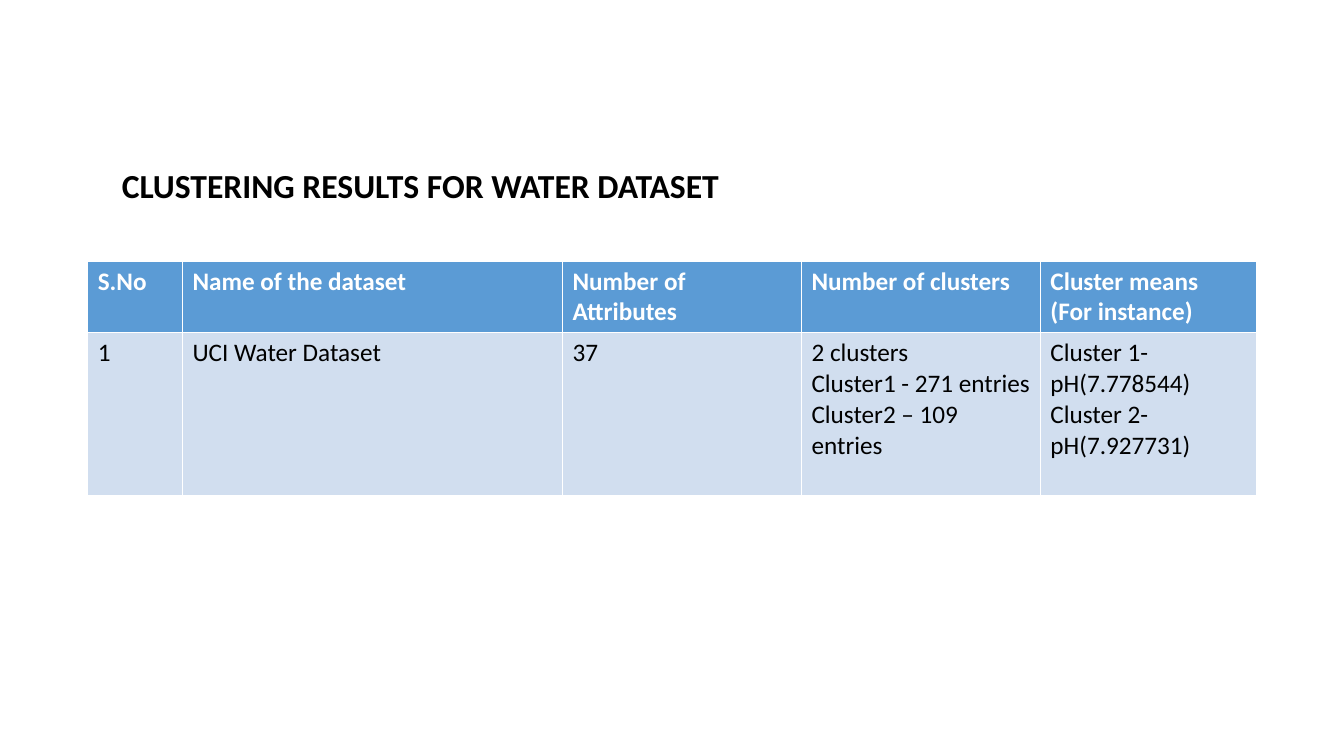
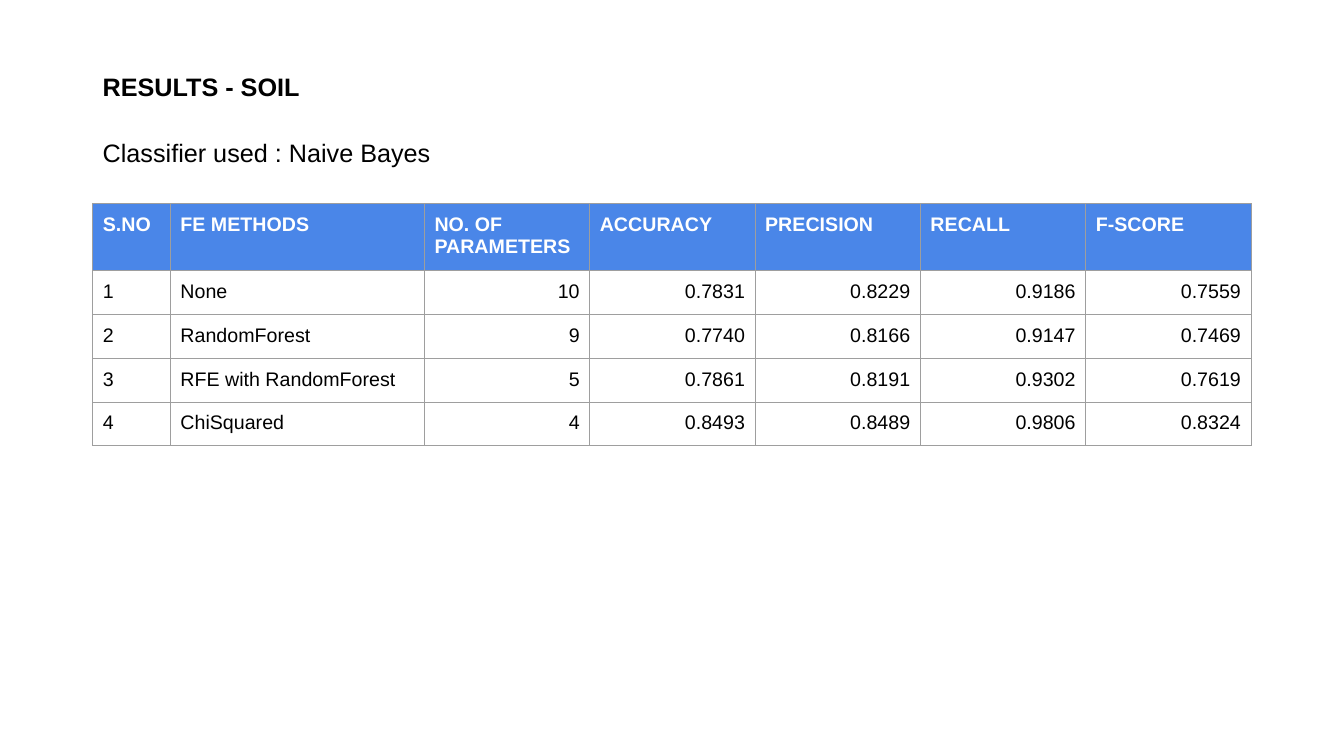
from dataclasses import dataclass

from lxml.etree import SubElement
from pptx import Presentation
from pptx.dml.color import RGBColor
from pptx.enum.text import MSO_ANCHOR as Anchor, PP_ALIGN as Align
from pptx.oxml.ns import qn
from pptx.util import Inches, Pt

COLORS = {
    "text": "000000",
    "header_text": "FFFFFF",
    "water_header": "5B9BD5",
    "water_body": "D1DEEF",
    "water_border": "FFFFFF",
    "soil_header": "4A86E8",
    "soil_border": "9E9E9E",
}
INSET = 0.1


@dataclass
class TableStyle:
    font: str
    size: int
    header: str
    body: str | None
    border: str
    border_width: float
    vertical_inset: float


WATER_STYLE = TableStyle("Calibri", 18, "water_header", "water_body", "water_border", 0.96, 0.05)
SOIL_STYLE = TableStyle("Arial", 14, "soil_header", None, "soil_border", 0.75, 0.1)

WATER_ROWS = [
    ["S.No", "Name of the dataset", "Number of Attributes", "Number of clusters",
     "Cluster means\n(For instance)"],
    ["1", "UCI Water Dataset", "37",
     "2 clusters\nCluster1 - 271 entries\nCluster2 – 109 entries",
     "Cluster 1-pH(7.778544)\nCluster 2-pH(7.927731)"],
]
SOIL_ROWS = [
    ["S.NO", "FE METHODS", "NO. OF PARAMETERS", "ACCURACY", "PRECISION", "RECALL", "F-SCORE"],
    ["1", "None", "10", "0.7831", "0.8229", "0.9186", "0.7559"],
    ["2", "RandomForest", "9", "0.7740", "0.8166", "0.9147", "0.7469"],
    ["3", "RFE with RandomForest", "5", "0.7861", "0.8191", "0.9302", "0.7619"],
    ["4", "ChiSquared", "4", "0.8493", "0.8489", "0.9806", "0.8324"],
]


def color(name):
    return RGBColor.from_string(COLORS[name])


def format_text(text_frame, font, size, color_name, bold, align):
    for paragraph in text_frame.paragraphs:
        paragraph.alignment = align
        for run in paragraph.runs:
            run.font.name = font
            run.font.size = Pt(size)
            run.font.bold = bold
            run.font.color.rgb = color(color_name)


def add_text(slide, box, text, font, size, bold=False, align=Align.LEFT, anchor=Anchor.TOP):
    shape = slide.shapes.add_textbox(*map(Inches, box))
    text_frame = shape.text_frame
    text_frame.word_wrap = True
    text_frame.vertical_anchor = anchor
    text_frame.margin_left = text_frame.margin_right = Inches(INSET)
    text_frame.margin_top = text_frame.margin_bottom = Inches(INSET)
    text_frame.text = text
    format_text(text_frame, font, size, "text", bold, align)


def add_borders(cell, color_name, width):
    properties = cell._tc.get_or_add_tcPr()
    for side in ("lnL", "lnR", "lnT", "lnB"):
        line = SubElement(properties, qn(f"a:{side}"), w=str(Pt(width)))
        fill = SubElement(line, qn("a:solidFill"))
        SubElement(fill, qn("a:srgbClr"), val=COLORS[color_name])


def style_cell(cell, text, style, is_header, align):
    cell.margin_left = cell.margin_right = Inches(INSET)
    cell.margin_top = cell.margin_bottom = Inches(style.vertical_inset)
    add_borders(cell, style.border, style.border_width)
    fill_name = style.header if is_header else style.body
    if fill_name:
        cell.fill.solid()
        cell.fill.fore_color.rgb = color(fill_name)
    else:
        cell.fill.background()
    cell.text_frame.text = text
    text_color = "header_text" if is_header else "text"
    format_text(cell.text_frame, style.font, style.size, text_color, is_header, align)


def add_data_table(slide, left, top, widths, heights, rows, style, first_number_column=None):
    box = map(Inches, (left, top, sum(widths), sum(heights)))
    table = slide.shapes.add_table(len(rows), len(widths), *box).table
    for column, width in zip(table.columns, widths):
        column.width = Inches(width)
    for row, height in zip(table.rows, heights):
        row.height = Inches(height)
    for row_index, texts in enumerate(rows):
        is_header = row_index == 0
        for column_index, text in enumerate(texts):
            is_number = first_number_column is not None and column_index >= first_number_column
            align = Align.RIGHT if is_number and not is_header else Align.LEFT
            style_cell(table.cell(row_index, column_index), text, style, is_header, align)


def build_water_slide(slide, left=0.87, top=1.35):
    add_data_table(slide, left, top + 1.24, [0.94, 3.77, 2.37, 2.37, 2.14], [0.71, 1.62],
                   WATER_ROWS, WATER_STYLE)
    add_text(slide, (left, top, 6.6, 0.97), "CLUSTERING RESULTS FOR WATER DATASET",
             "Calibri", 24, bold=True, align=Align.CENTER, anchor=Anchor.MIDDLE)


def build_soil_slide(slide, left=0.92, top=0.61):
    add_data_table(slide, left, top + 1.41, [0.77, 2.52] + [1.64] * 5, [0.64] + [0.42] * 4,
                   SOIL_ROWS, SOIL_STYLE, first_number_column=2)
    add_text(slide, (left, top, 2.98, 0.51), "RESULTS - SOIL", "Arial", 18, bold=True)
    add_text(slide, (left, top + 0.65, 3.61, 0.38), "Classifier used : Naive Bayes", "Arial", 18)


def main():
    presentation = Presentation()
    presentation.slide_width = Inches(13.33)
    presentation.slide_height = Inches(7.5)
    blank = presentation.slide_layouts[6]
    for build in (build_water_slide, build_soil_slide):
        build(presentation.slides.add_slide(blank))
    presentation.save("out.pptx")


if __name__ == "__main__":
    main()
